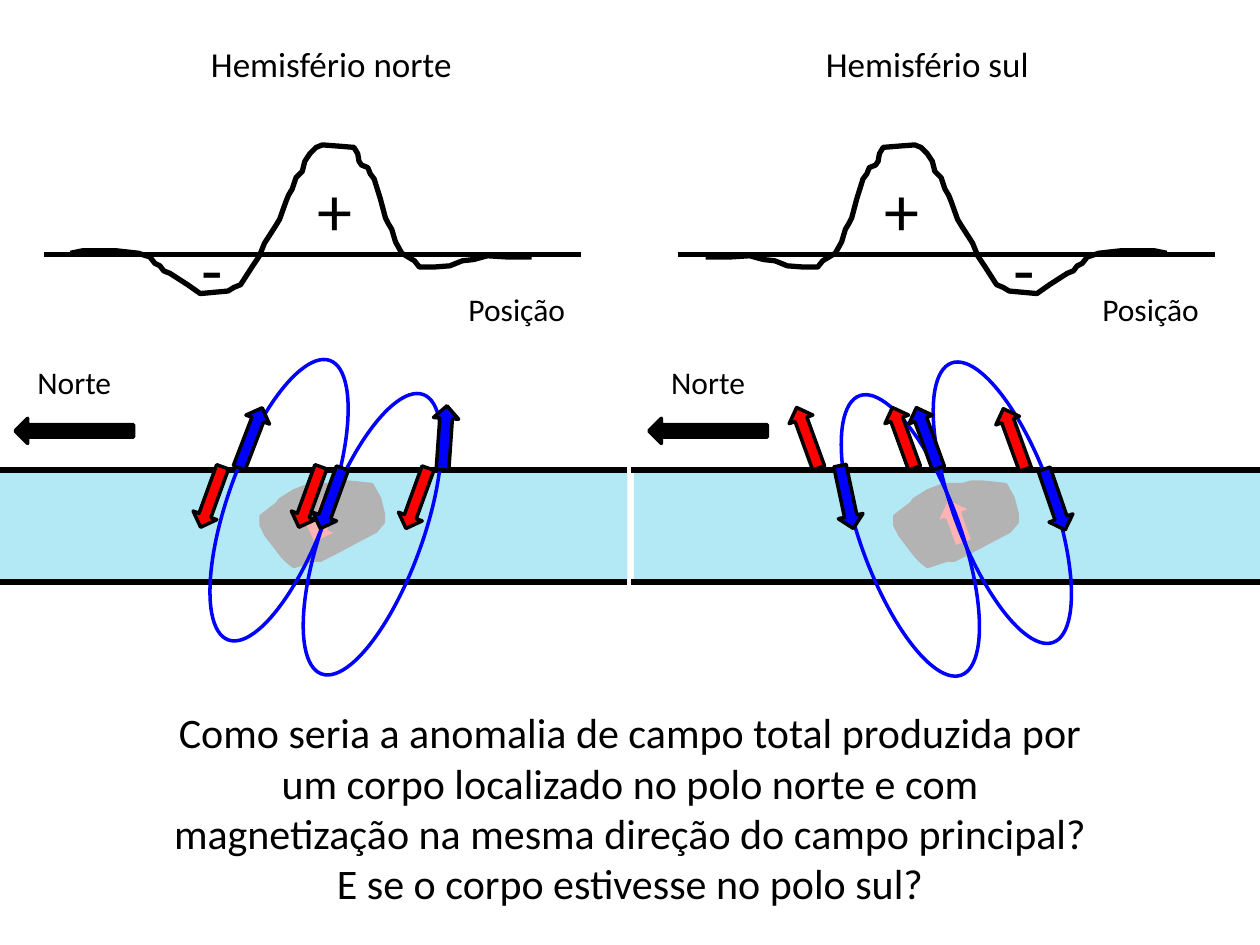
"""Build the slide comparing magnetic anomalies in the two hemispheres."""
from math import cos, radians, sin
from lxml.etree import SubElement
from pptx import Presentation
from pptx.dml.color import RGBColor
from pptx.enum.shapes import MSO_CONNECTOR, MSO_SHAPE
from pptx.enum.text import MSO_AUTO_SIZE, PP_ALIGN
from pptx.oxml.ns import qn
from pptx.util import Inches, Pt

prs = Presentation()
prs.slide_width, prs.slide_height = Inches(10), Inches(7.5)
s = prs.slides.add_slide(prs.slide_layouts[6])


def style(sp, fill=None, line=None, width=2, rot=0, flip=""):
    """Set fill, outline, rotation and flips of a shape."""
    sp.shadow.inherit = False
    for part, color in ((sp.fill, fill), (sp.line.fill, line)):
        if color:
            part.solid()
            part.fore_color.rgb = RGBColor.from_string(color)
        else:
            part.background()
    if line:
        sp.line.width = Pt(width)
    sp.rotation = rot
    for axis in flip:
        sp._element.spPr.find(qn("a:xfrm")).set("flip" + axis, "1")


def text(x, y, w, h, words, size, align=PP_ALIGN.CENTER):
    """Add a one-paragraph text box."""
    tf = s.shapes.add_textbox(Inches(x), Inches(y), Inches(w), Inches(h)).text_frame
    fmt = {"word_wrap": True, "auto_size": MSO_AUTO_SIZE.SHAPE_TO_FIT_TEXT}
    for key, value in fmt.items():
        setattr(tf, key, value)
    p = tf.paragraphs[0]
    p.alignment = align
    r = p.add_run()
    r.text = words
    for key, value in {"name": "Calibri", "size": Pt(size)}.items():
        setattr(r.font, key, value)
    r.font.color.rgb = RGBColor.from_string("000000")


BLACK, RED, BLUE, WHITE = "000000", "FF0000", "0000FF", "FFFFFF"
body = [
    (2.07, 4.1), (2.2, 4), (2.22, 3.97), (2.33, 3.9), (2.46, 3.85), (2.61, 3.85),
    (2.68, 3.83), (2.76, 3.83), (2.86, 3.84), (2.95, 3.85), (3.01, 3.96),
    (3.04, 4.08), (3.04, 4.15), (2.98, 4.22), (2.64, 4.4), (2.54, 4.45),
    (2.48, 4.45), (2.39, 4.48), (2.33, 4.5), (2.28, 4.46), (2.24, 4.42),
    (2.11, 4.25), (2.07, 4.17)]
curve = [
    (0.56, 2.01), (0.66, 1.99), (0.78, 1.99), (0.92, 1.99), (1.1, 2.01),
    (1.19, 2.04), (1.23, 2.09), (1.27, 2.11), (1.3, 2.15), (1.35, 2.17),
    (1.49, 2.26), (1.59, 2.33), (1.81, 2.31), (1.86, 2.28), (1.91, 2.26),
    (2, 2.12), (2.06, 2.03), (2.1, 1.93), (2.19, 1.79), (2.22, 1.74),
    (2.27, 1.6), (2.29, 1.55), (2.32, 1.5), (2.35, 1.41), (2.4, 1.36),
    (2.42, 1.28), (2.46, 1.22), (2.51, 1.17), (2.56, 1.15), (2.69, 1.16),
    (2.81, 1.17), (2.84, 1.22), (2.85, 1.28), (2.87, 1.31), (2.92, 1.33),
    (2.94, 1.38), (2.97, 1.42), (3.02, 1.58), (3.06, 1.73), (3.08, 1.77),
    (3.11, 1.82), (3.14, 1.92), (3.19, 2.01), (3.29, 2.07), (3.33, 2.12),
    (3.44, 2.12), (3.57, 2.11), (3.67, 2.07), (3.76, 2.06), (3.87, 2.03),
    (4.03, 2.04), (4.22, 2.04)]

halves = [
    {"dx": 0, "title": (1.4, "Hemisfério norte"), "core": (20, ""),
     "signs": (2.4, 1.43), "mirror": False,
     "loops": [(2.56, 3.06, 20, ""), (1.82, 2.79, 20, "")],
     "arrows": [(1.58, 3.69, RED, 20, ""), (2.36, 3.69, RED, 20, ""),
                (3.21, 3.7, RED, 20, ""), (1.89, 3.22, BLUE, 21, "HV"),
                (2.53, 3.7, BLUE, 200, "HV"), (3.43, 3.22, BLUE, 4, "HV")]},
    {"dx": 5.03, "title": (6.13, "Hemisfério sul"), "core": (340, "V"),
     "signs": (6.9, 7.87), "mirror": True,
     "loops": [(7.56, 2.81, 340, "V"), (6.83, 3.07, 340, "V")],
     "arrows": [(6.31, 3.22, RED, 340, "V"), (7.07, 3.22, RED, 340, "V"),
                (7.95, 3.23, RED, 340, "V"), (6.62, 3.69, BLUE, 348, "H"),
                (7.26, 3.22, BLUE, 160, "H"), (8.27, 3.71, BLUE, 341, "H")]}]

for half in halves:
    dx = half["dx"]
    sp = s.shapes.add_shape(MSO_SHAPE.RECTANGLE, Inches(dx), Inches(3.73), Inches(4.98), Inches(0.88))
    style(sp, "00B3DF")
    sp = s.shapes.add_shape(MSO_SHAPE.RIGHT_ARROW, Inches(dx + 0.12), Inches(3.32), Inches(0.94), Inches(0.2))
    style(sp, BLACK, BLACK, flip="H")
    text(dx + 0.12, 2.83, 0.94, 0.4, "Norte", 18)
    text(dx + 3.62, 2.25, 1.06, 0.4, "Posição", 18, PP_ALIGN.LEFT)

    turn, cx, cy = radians(30.5), 2.575, 4.115
    pts = [(Inches(dx + cx + (x - cx) * cos(turn) - (y - cy) * sin(turn)),
            Inches(cy + (x - cx) * sin(turn) + (y - cy) * cos(turn))) for x, y in body]
    fb = s.shapes.build_freeform(*pts[0])
    fb.add_line_segments(pts[1:], close=True)
    style(fb.convert_to_shape(), BLACK, BLACK, rot=329.5)

    rot, flip = half["core"]
    sp = s.shapes.add_shape(MSO_SHAPE.DOWN_ARROW, Inches(dx + 2.4), Inches(3.94), Inches(0.31), Inches(0.39))
    style(sp, RED, BLACK, rot=rot, flip=flip)
    sp = s.shapes.add_shape(MSO_SHAPE.RECTANGLE, Inches(dx - 0.08 if dx == 0 else 5), Inches(3.59),
                            Inches(5.14), Inches(1.16))
    style(sp, WHITE)
    color = sp._element.spPr.find(qn("a:solidFill")).find(qn("a:srgbClr"))
    SubElement(color, qn("a:alpha")).set("val", "70000")

    for x1, x2, y in ((0.35, 4.61, 2.02), (-0.02, 4.98, 4.62), (-0.02, 4.98, 3.73)):
        ln = s.shapes.add_connector(MSO_CONNECTOR.STRAIGHT, Inches(dx + x1), Inches(y), Inches(dx + x2), Inches(y))
        ln.line.color.rgb = RGBColor.from_string(BLACK)
        ln.line.width = Pt(3)
        SubElement(ln._element.spPr, qn("a:effectLst"))
    for x, y, rot, flip in half["loops"]:
        sp = s.shapes.add_shape(MSO_SHAPE.OVAL, Inches(x), Inches(y), Inches(0.79), Inches(2.36))
        style(sp, None, BLUE, rot=rot, flip=flip)
    for x, y, fill, rot, flip in half["arrows"]:
        sp = s.shapes.add_shape(MSO_SHAPE.DOWN_ARROW, Inches(x), Inches(y), Inches(0.2), Inches(0.51))
        style(sp, fill, BLACK, rot=rot, flip=flip)

    pts = [(Inches(9.82 - x if half["mirror"] else x), Inches(y)) for x, y in curve]
    fb = s.shapes.build_freeform(*pts[0])
    fb.add_line_segments(pts[1:], close=False)
    style(fb.convert_to_shape(), None, BLACK, 3)
    for x, y, sign in zip(half["signs"], (1.27, 1.74), "+-"):
        text(x, y, 0.51, 0.77, sign, 40)
    x, title = half["title"]
    text(x, 0.29, 2.46, 0.44, title, 20)

text(1.22, 5.56, 7.56, 1.72,
     "Como seria a anomalia de campo total produzida por um corpo localizado no polo norte "
     "e com magnetização na mesma direção do campo principal? E se o corpo estivesse no polo sul?", 24)

prs.save("out.pptx")
